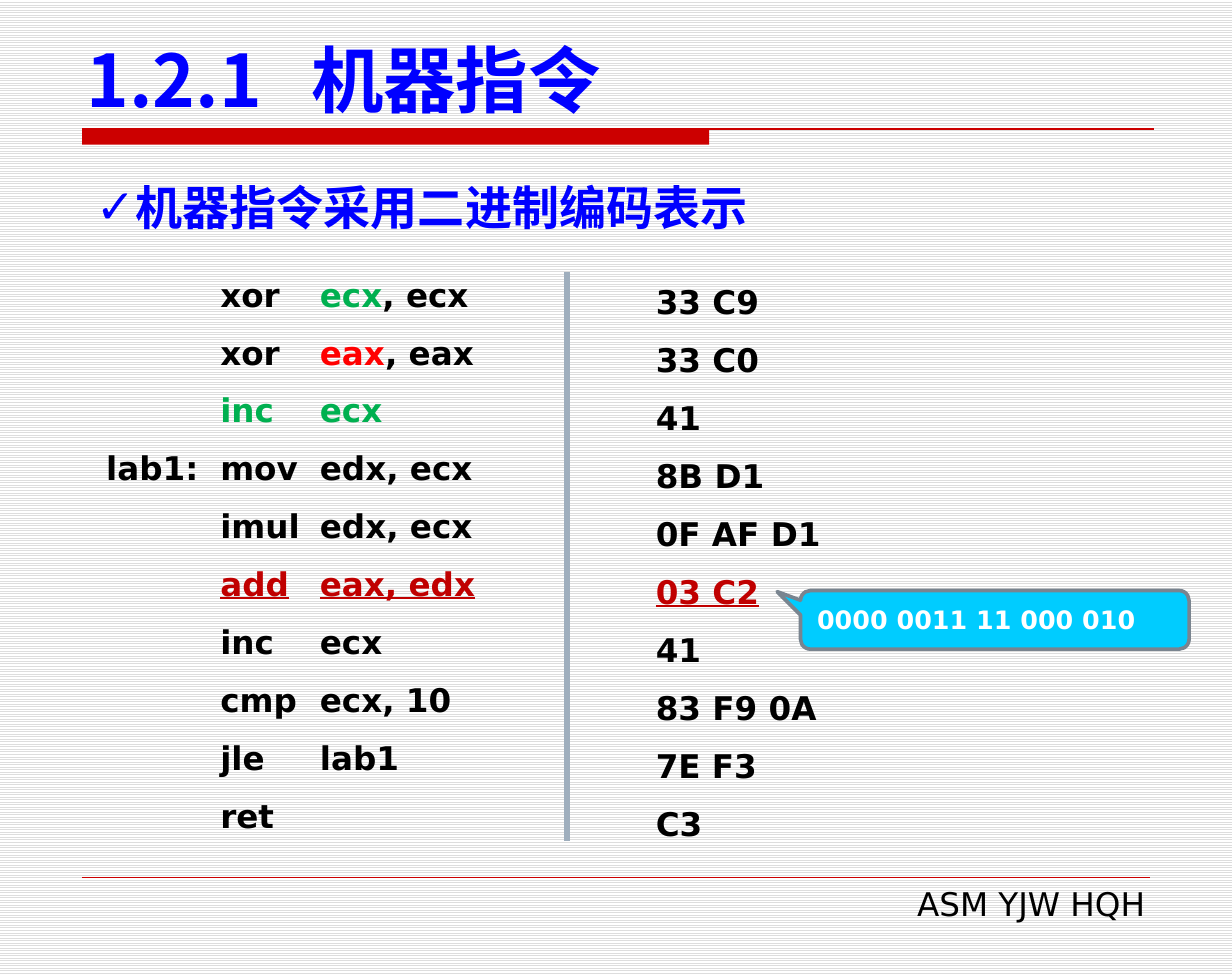
from lxml import etree
from pptx import Presentation
from pptx.dml.color import RGBColor
from pptx.enum import dml, shapes, text
from pptx.oxml import ns
from pptx.util import Pt

BLUE = RGBColor(0x00, 0x00, 0xFF)
RED = RGBColor(0xFF, 0x00, 0x00)
RULE_RED = RGBColor(0xCC, 0x00, 0x00)
DARK_RED = RGBColor(0xC0, 0x00, 0x00)
GREEN = RGBColor(0x00, 0xB0, 0x50)
BLACK = RGBColor(0x00, 0x00, 0x00)
WHITE = RGBColor(0xFF, 0xFF, 0xFF)
STRIPE = RGBColor(0xDD, 0xDD, 0xDD)
DIVIDER = RGBColor(0x9F, 0xAE, 0xBD)
CYAN = RGBColor(0x00, 0xCC, 0xFF)
SLATE = RGBColor(0x79, 0x84, 0x8F)
LATIN, CHINESE = "DejaVu Sans", "Noto Sans CJK SC"


def set_frame(shape, anchor):
    frame = shape.text_frame
    frame.word_wrap = True
    frame.auto_size = text.MSO_AUTO_SIZE.NONE
    frame.vertical_anchor = anchor
    frame.margin_left = frame.margin_right = Pt(7.56)
    frame.margin_top = frame.margin_bottom = Pt(3.78)
    return frame


def style(para, size, color, bold=True, face=LATIN, tabs=()):
    props = para._p.get_or_add_pPr()
    if tabs:
        stops = etree.SubElement(props, ns.qn("a:tabLst"))
        for stop in tabs:
            etree.SubElement(stops, ns.qn("a:tab"), pos=str(Pt(stop)), algn="l")
    font = para.font
    font.name, font.size, font.bold = face, Pt(size), bold
    font.color.rgb = color
    etree.SubElement(props.find(ns.qn("a:defRPr")), ns.qn("a:ea"), typeface=CHINESE)


deck = Presentation()
deck.slide_width, deck.slide_height = Pt(680.4), Pt(538.6)
page = deck.slides.add_slide(deck.slide_layouts[1])

# Striped background
backdrop = page.background.fill
backdrop.patterned()
backdrop.pattern = dml.MSO_PATTERN.LIGHT_HORIZONTAL
backdrop.fore_color.rgb, backdrop.back_color.rgb = STRIPE, WHITE

# Red bar under the title
bar = page.shapes.add_shape(shapes.MSO_SHAPE.RECTANGLE, Pt(45.4), Pt(71.3), Pt(346.3), Pt(8.6))
bar.shadow.inherit = False
bar.fill.solid()
bar.fill.fore_color.rgb = RULE_RED
bar.line.fill.background()

# Title rule, footer rule and column divider
for x1, y1, x2, y2, color, width in [
    (45.4, 71.3, 637.2, 71.3, RULE_RED, 0.75),
    (45.4, 484.6, 635, 484.6, RULE_RED, 0.25),
    (313.2, 150.5, 313.2, 464.4, DIVIDER, 3),
]:
    rule = page.shapes.add_connector(
        shapes.MSO_CONNECTOR.STRAIGHT, Pt(x1), Pt(y1), Pt(x2), Pt(y2))
    rule.line.color.rgb, rule.line.width = color, Pt(width)
    etree.SubElement(rule._element.spPr, ns.qn("a:effectLst"))

# Title
title = page.shapes.title
title.left, title.top, title.width, title.height = Pt(40.3), Pt(20.2), Pt(616.3), Pt(51.1)
para = set_frame(title, text.MSO_ANCHOR.BOTTOM).paragraphs[0]
para.text = "1.2.1\t机器指令"
para.alignment = text.PP_ALIGN.LEFT
style(para, 40, BLUE, face=CHINESE, tabs=[124])

# Check-marked statement
body = page.placeholders[1]
body.left, body.top, body.width, body.height = Pt(45.4), Pt(88.6), Pt(589.7), Pt(47.5)
para = set_frame(body, text.MSO_ANCHOR.TOP).paragraphs[0]
para.text = "机器指令采用二进制编码表示"
para.line_spacing, para.space_before = 1.2, Pt(13)
props = para._p.get_or_add_pPr()
props.set("marL", "0")
props.set("indent", "0")
etree.SubElement(props, ns.qn("a:buFont"), typeface=LATIN)
etree.SubElement(props, ns.qn("a:buChar"), char="✓")
style(para, 26, BLUE)

# Assembly source and its machine code; each line is a list of (text, colour)
source = [
    [("\txor\t", None), ("ecx", GREEN), (", ecx", None)],
    [("\txor\t", None), ("eax", RED), (", eax", None)],
    [("\t", None), ("inc\tecx", GREEN)],
    [("lab1:\tmov\tedx, ecx", None)],
    [("\timul\tedx, ecx", None)],
    [("\t", None), ("add\teax, edx", DARK_RED)],
    [("\tinc\tecx", None)],
    [("\tcmp\tecx, 10", None)],
    [("\tjle\tlab1", None)],
    [("\tret", None)],
]
codes = ["33 C9", "33 C0", "41", "8B D1", "0F AF D1", "03 C2", "41", "83 F9 0A", "7E F3", "C3"]
machine = [[(code, DARK_RED if code == "03 C2" else None)] for code in codes]

for left, top, width, height, lines, tabs in [
    (51.1, 131, 278.6, 340.6, source, [63, 118]),
    (354.6, 141.8, 280.4, 327.6, machine, []),
]:
    box = page.shapes.add_textbox(Pt(left), Pt(top), Pt(width), Pt(height))
    frame = set_frame(box, text.MSO_ANCHOR.MIDDLE)
    for index, line in enumerate(lines):
        para = frame.paragraphs[0] if index == 0 else frame.add_paragraph()
        para.line_spacing = Pt(32)
        style(para, 18, BLACK, tabs=tabs)
        for words, color in line:
            span = para.add_run()
            span.text = words
            if color:
                span.font.color.rgb = color
            if color == DARK_RED:
                span.font.underline = True

# Callout with the binary encoding
callout = page.shapes.add_shape(
    shapes.MSO_SHAPE.ROUNDED_RECTANGULAR_CALLOUT, Pt(442.1), Pt(326.2), Pt(214.6), Pt(32.4))
callout.shadow.inherit = False
for index, value in enumerate([-0.56, -0.48, 0.17]):
    callout.adjustments[index] = value
callout.fill.solid()
callout.fill.fore_color.rgb = CYAN
callout.line.color.rgb, callout.line.width = SLATE, Pt(2)
para = set_frame(callout, text.MSO_ANCHOR.MIDDLE).paragraphs[0]
para.text = "0000 0011 11 000 010"
para.alignment = text.PP_ALIGN.LEFT
style(para, 14, WHITE)

# Footer
footer = page.shapes.add_textbox(Pt(259.9), Pt(484.6), Pt(380.2), Pt(29.5))
para = set_frame(footer, text.MSO_ANCHOR.TOP).paragraphs[0]
para.text = "ASM YJW HQH"
para.alignment = text.PP_ALIGN.RIGHT
para.space_before = Pt(9)
style(para, 18, BLACK, bold=False)

deck.save("out.pptx")
